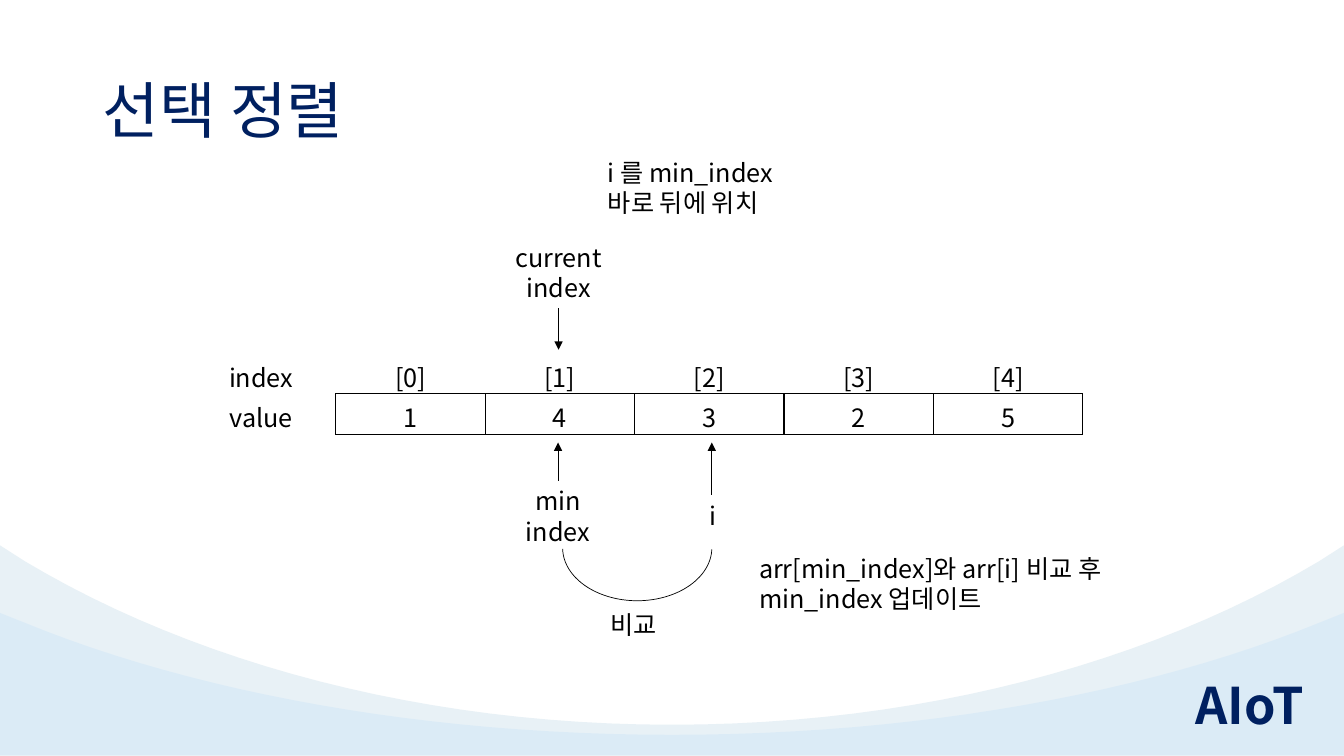
from lxml.etree import SubElement
from pptx import Presentation
from pptx.dml.color import RGBColor
from pptx.enum.shapes import MSO_CONNECTOR as Link, MSO_SHAPE as Shape
from pptx.enum.text import MSO_ANCHOR as Anchor, MSO_AUTO_SIZE as Fit, PP_ALIGN as Align
from pptx.oxml.ns import qn
from pptx.util import Inches, Pt

FONT = "Noto Sans CJK KR"
NAVY = RGBColor(0x00, 0x20, 0x60)
BLACK = RGBColor(0x00, 0x00, 0x00)
WHITE = RGBColor(0xFF, 0xFF, 0xFF)
PALE = RGBColor(0xE8, 0xF1, 0xF6)
SKY = RGBColor(0x7A, 0xC2, 0xF9)
ROWS = [["index", "[0]", "[1]", "[2]", "[3]", "[4]"],
        ["value", "1", "4", "3", "2", "5"]]


def style(para, size=18, color=BLACK, align=Align.LEFT, bold=False):
    """Set the font and alignment of a paragraph."""
    para.alignment = align
    font = para.font
    font.size, font.bold, font.name = Pt(size), bold, FONT
    font.color.rgb = color
    props = para._p.pPr.find(qn("a:defRPr"))
    SubElement(props, qn("a:ea"), typeface=FONT)


def label(shapes, box, text, wrap=True, **look):
    """Add a text box that grows with its text."""
    note = shapes.add_textbox(*map(Inches, box))
    frame = note.text_frame
    frame.word_wrap = wrap
    frame.auto_size = Fit.SHAPE_TO_FIT_TEXT
    frame.text = text
    style(frame.paragraphs[0], **look)
    return note


def wave(shapes, curve, edge, base, color, alpha=None):
    """Add a band whose top dips along a curve mirrored at the middle."""
    half = [(0, edge)]
    for step in range(25):
        t = step / 24
        parts = ((1 - t) ** 3, 3 * t * (1 - t) ** 2, 3 * t * t * (1 - t), t ** 3)
        half.append(tuple(sum(w * pt[k] for w, pt in zip(parts, curve)) for k in (0, 1)))
    wide = 2 * curve[-1][0]
    right = [(wide - x, y) for x, y in half[-2::-1]]
    spots = [(Inches(x), Inches(y)) for x, y in half + right + [(wide, base), (0, base)]]
    pen = shapes.build_freeform(*spots[0])
    pen.add_line_segments(spots[1:])
    band = pen.convert_to_shape()
    band.shadow.inherit = False
    band.fill.solid()
    band.fill.fore_color.rgb = color
    band.line.fill.background()
    if alpha:
        tint = band._element.spPr.find(".//" + qn("a:srgbClr"))
        SubElement(tint, qn("a:alpha"), val=str(alpha * 1000))


def scene(shapes):
    """Add the waves and the course mark."""
    group = shapes.add_group_shape().shapes
    mid = 6.665
    wave(group, [(0.25, 5.57), (1.94, 6.58), (4.2, 7.19), (mid, 7.19)], 5.41, 7.5, PALE)
    wave(group, [(0.25, 6.18), (1.94, 6.87), (4.2, 7.29), (mid, 7.29)], 6.08, 7.49, SKY, 11)
    label(shapes, (11.76, 6.64, 1.32, 0.71), "AIoT", wrap=False, size=36, color=NAVY, bold=True)


def heading(title, box, text):
    """Place and format the title."""
    title.left, title.top, title.width, title.height = map(Inches, box)
    frame = title.text_frame
    frame.text = text
    frame.vertical_anchor = Anchor.MIDDLE
    para = frame.paragraphs[0]
    style(para, size=44, color=NAVY)
    para.line_spacing = 0.9


def border(cell, sides):
    """Draw the named sides of a cell in black and clear the others."""
    props = cell._tc.get_or_add_tcPr()
    for side in "LRTB":
        line = SubElement(props, qn("a:ln" + side), w=str(Pt(1)))
        if side in sides:
            fill = SubElement(line, qn("a:solidFill"))
            SubElement(fill, qn("a:srgbClr"), val=str(BLACK))
        else:
            SubElement(line, qn("a:noFill"))


def array(shapes, box):
    """Add the table of indexes and values."""
    grid = shapes.add_table(len(ROWS), len(ROWS[0]), *map(Inches, box)).table
    grid.first_row = grid.horz_banding = False
    for r, row in enumerate(ROWS):
        for c, text in enumerate(row):
            cell = grid.cell(r, c)
            cell.text = text
            style(cell.text_frame.paragraphs[0], align=Align.CENTER)
            if c:
                border(cell, "LRTB" if r else "B")
            else:
                border(cell, "R" if r else "")
            cell.fill.solid()
            cell.fill.fore_color.rgb = WHITE


def thin(shape):
    """Give a shape or connector a thin black line."""
    shape.line.color.rgb = BLACK
    shape.line.width = Pt(0.5)


def pointer(shapes, box, text, site, tip, align=Align.CENTER):
    """Add a label with an arrow from one of its sides to the height of the tip."""
    note = label(shapes, box, text, align=align)
    mid = note.left + note.width // 2
    arrow = shapes.add_connector(Link.STRAIGHT, mid, note.top, mid, Inches(tip))
    arrow.begin_connect(note, site)
    thin(arrow)
    SubElement(arrow.line._get_or_add_ln(), qn("a:tailEnd"), type="triangle")
    SubElement(arrow._element.spPr, qn("a:effectLst"))


def match(shapes, box, text):
    """Add the arc that joins two pointers, with its label below."""
    group = shapes.add_group_shape().shapes
    left, top, width, height = box
    arc = group.add_shape(Shape.ARC, *map(Inches, box))
    arc.adjustments[0], arc.adjustments[1] = 108.74, 215.5
    arc.rotation = 180
    arc.shadow.inherit = False
    arc.fill.background()
    thin(arc)
    label(group, (left + 0.38, top + height + 0.04, 0.73, 0.4), text)


def main():
    """Build and save the slide."""
    deck = Presentation()
    deck.slide_width, deck.slide_height = Inches(13.33), Inches(7.5)
    shapes = deck.slides.add_slide(deck.slide_layouts[5]).shapes
    scene(shapes)
    heading(shapes.title, (0.92, 0.4, 11.5, 1.45), "선택 정렬")
    array(shapes, (1.85, 3.5, 8.89, 0.81))
    pointer(shapes, (4.96, 2.35, 1.16, 0.71), "current index", 2, 3.47)
    pointer(shapes, (5.07, 4.77, 0.93, 0.71), "min\vindex", 0, 4.39)
    pointer(shapes, (6.94, 4.91, 0.24, 0.4), "i", 0, 4.39, Align.LEFT)
    match(shapes, (5.58, 4.91, 1.48, 1.05), "비교")
    label(shapes, (7.43, 5.44, 3.75, 0.71), "arr[min_index]와 arr[i] 비교 후 min_index 업데이트")
    label(shapes, (5.93, 1.51, 2.02, 0.71), "i 를 min_index 바로 뒤에 위치")
    deck.save("out.pptx")


if __name__ == "__main__":
    main()
